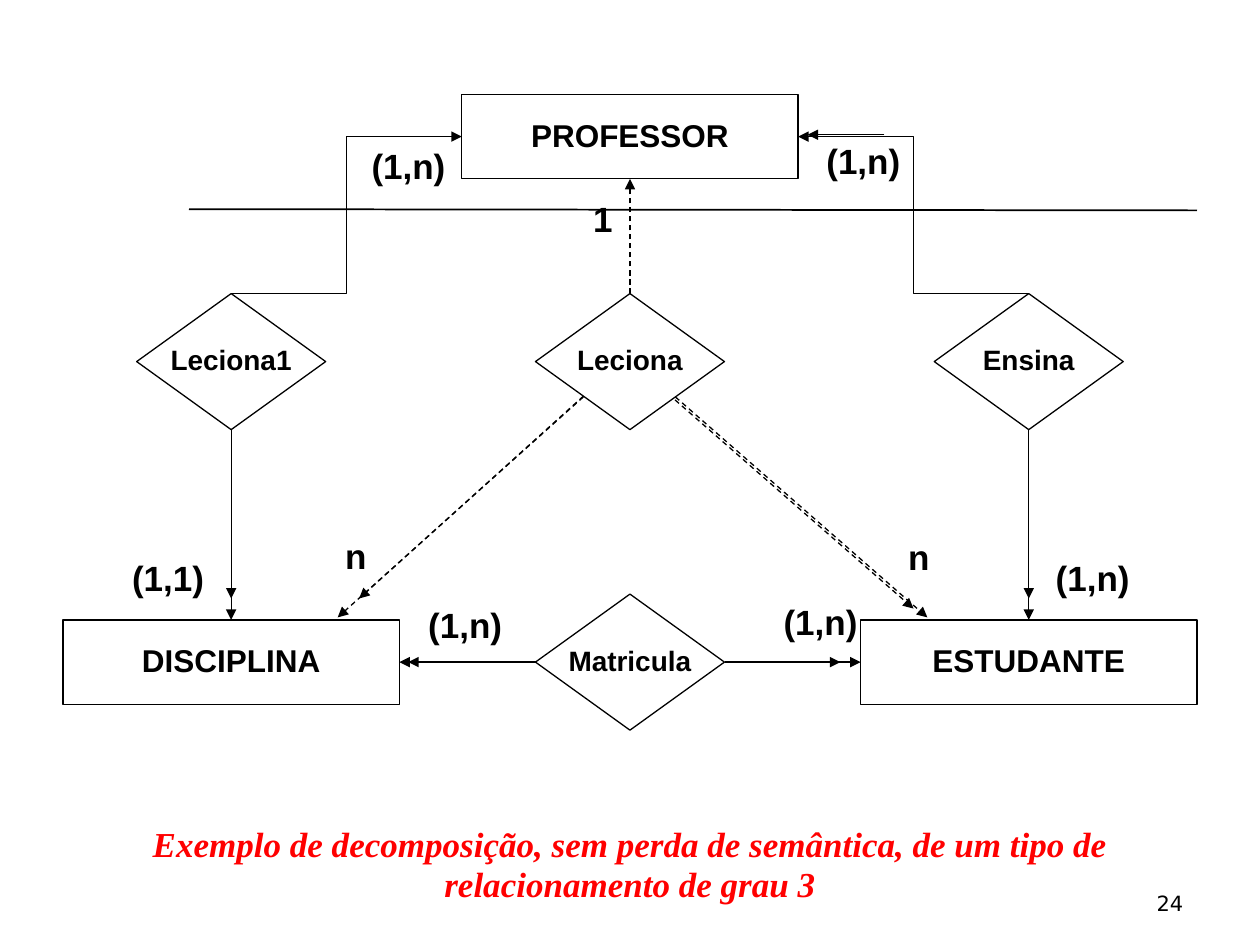
from lxml import etree
from pptx import Presentation
from pptx.dml.color import RGBColor
from pptx.enum.dml import MSO_LINE_DASH_STYLE as Dash
from pptx.enum.shapes import MSO_CONNECTOR as Link, MSO_SHAPE as Shape
from pptx.enum.text import MSO_ANCHOR as Anchor, MSO_AUTO_SIZE as AutoSize, PP_ALIGN as Align
from pptx.oxml.ns import qn
from pptx.util import Inches, Pt

BLACK, WHITE, RED = "000000", "FFFFFF", "FF0000"
ENTITY_SIZE = (2.67, 0.67)
RELATION_SIZE = (1.5, 1.08)


def color(value):
    return RGBColor.from_string(value)


def write(holder, lines, size, align=Align.CENTER, font="Arial", ink=BLACK,
          bold=True, italic=False, spacing=0.93, anchor=Anchor.TOP, wrap=False):
    frame = holder.text_frame
    frame.word_wrap = wrap
    frame.auto_size = AutoSize.NONE
    frame.vertical_anchor = anchor
    for index, line in enumerate(lines):
        paragraph = frame.paragraphs[0] if index == 0 else frame.add_paragraph()
        paragraph.alignment = align
        paragraph.line_spacing = spacing
        run = paragraph.add_run()
        run.text = line
        run.font.name = font
        run.font.size = Pt(size)
        run.font.bold = bold
        run.font.italic = italic
        run.font.color.rgb = color(ink)


def add_node(slide, box, preset, name, size):
    node = slide.shapes.add_shape(preset, *map(Inches, box))
    node.shadow.inherit = False
    node.fill.solid()
    node.fill.fore_color.rgb = color(WHITE)
    node.line.color.rgb = color(BLACK)
    node.line.width = Pt(0.75)
    write(node, [name], size, anchor=Anchor.MIDDLE)


def add_link(slide, start, end, kind=Link.STRAIGHT, dashed=False, arrow=True, width=0.75):
    link = slide.shapes.add_connector(kind, *map(Inches, (*start, *end)))
    link.line.color.rgb = color(BLACK)
    link.line.width = Pt(width)
    if dashed:
        link.line.dash_style = Dash.DASH
    if arrow:
        etree.SubElement(link.line._get_or_add_ln(), qn("a:tailEnd"), type="triangle")
    etree.SubElement(link._element.spPr, qn("a:effectLst"))


def add_text(slide, box, lines, size, **style):
    write(slide.shapes.add_textbox(*map(Inches, box)), lines, size, **style)


def add_diagram(slide, left, top, width, height):
    def at(x, y):
        return left + x, top + y

    entity_w, entity_h = ENTITY_SIZE
    relation_w, relation_h = RELATION_SIZE
    center = width / 2
    left_axis, right_axis = entity_w / 2, width - entity_w / 2
    professor_left, professor_right = center - entity_w / 2, center + entity_w / 2
    professor_mid = entity_h / 2
    relation_top = 1.58
    relation_bottom = relation_top + relation_h
    base_top = 4.17
    base_mid = base_top + entity_h / 2

    for name, x, y in (("PROFESSOR", professor_left, 0),
                       ("DISCIPLINA", 0, base_top),
                       ("ESTUDANTE", width - entity_w, base_top)):
        add_node(slide, (*at(x, y), *ENTITY_SIZE), Shape.RECTANGLE, name, 18)

    def add_relation(name, axis, y):
        box = (*at(axis - relation_w / 2, y), *RELATION_SIZE)
        add_node(slide, box, Shape.FLOWCHART_DECISION, name, 16)

    add_relation("Leciona1", left_axis, relation_top)
    add_relation("Ensina", right_axis, relation_top)
    add_relation("Matricula", center, base_mid - relation_h / 2)

    for axis, side in ((left_axis, professor_left), (right_axis, professor_right)):
        add_link(slide, at(axis, relation_top), at(side, professor_mid), Link.ELBOW)
        add_link(slide, at(axis, relation_bottom), at(axis, base_top))
        add_link(slide, at(axis, 3.33), at(axis, 4))

    half = relation_w / 2
    for start, end in ((center - half, entity_w), (3.35, 2.74),
                       (center + half, width - entity_w), (5.58, 6.17)):
        add_link(slide, at(start, base_mid), at(end, base_mid))
    add_link(slide, at(6.52, 0.32), at(5.91, 0.32))

    for start, end in (((4.86, 2.4), (6.86, 4.15)), ((4.13, 2.4), (2.18, 4.15)),
                       ((center, relation_top), (center, entity_h)),
                       ((4.29, 2.25), (2.35, 4)), ((4.75, 2.33), (6.75, 4.08))):
        add_link(slide, at(*start), at(*end), dashed=True)
    add_relation("Leciona", center, relation_top)

    for label, x, y, label_w in (("n", 2.14, 3.47, 0.37), ("n", 6.61, 3.48, 0.37),
                                 ("1", 4.11, 0.8, 0.35), ("(1,1)", 0.45, 3.65, 0.77),
                                 ("(1,n)", 2.35, 0.38, 0.79), ("(1,n)", 5.96, 0.34, 0.79),
                                 ("(1,n)", 2.8, 4.02, 0.79), ("(1,n)", 5.62, 4, 0.79),
                                 ("(1,n)", 7.78, 3.65, 0.79)):
        add_text(slide, (*at(x, y), label_w, 0.41), [label], 20, align=Align.LEFT)


def main():
    deck = Presentation()
    deck.slide_width, deck.slide_height = Inches(10), Inches(7.5)
    slide = deck.slides.add_slide(deck.slide_layouts[6])

    add_link(slide, (1.5, 1.66), (9.5, 1.67), arrow=False, width=1)
    add_text(slide, (0, 6.5, 10, 0.74),
             ["Exemplo de decomposição, sem perda de semântica, de um tipo de",
              "relacionamento de grau 3"],
             20, font="Times New Roman", ink=RED, italic=True, spacing=0.95, wrap=True)
    add_diagram(slide, 0.5, 0.75, 9, 5.04)
    add_text(slide, (7.17, 6.83, 2.32, 0.49), ["24"], 12, align=Align.RIGHT,
             font="DejaVu Sans", bold=False, spacing=1.01, anchor=Anchor.BOTTOM, wrap=True)

    deck.save("out.pptx")


if __name__ == "__main__":
    main()
